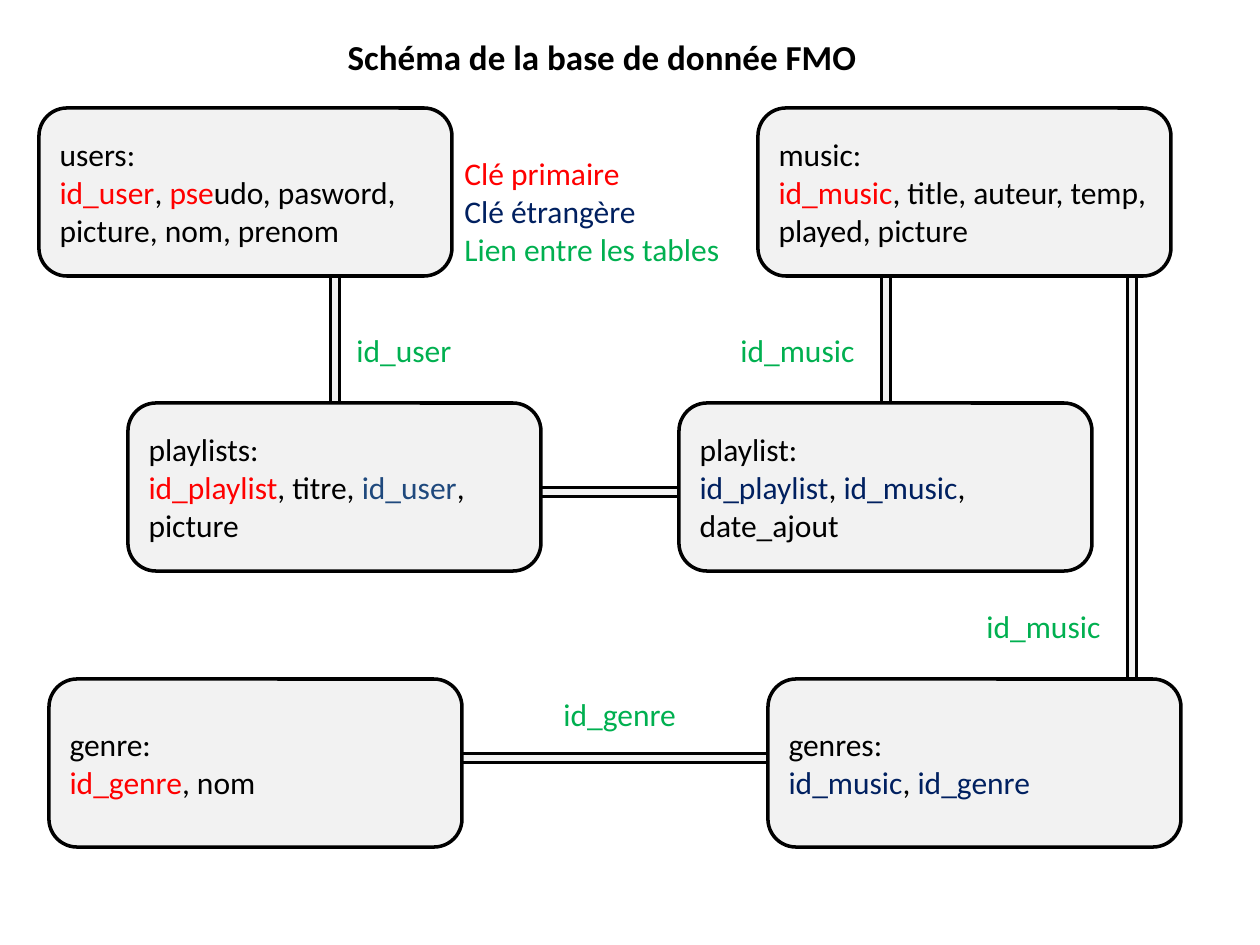
from pptx import Presentation
from pptx.dml.color import RGBColor
from pptx.enum.shapes import MSO_SHAPE as Preset
from pptx.enum.text import MSO_ANCHOR as Anchor, MSO_AUTO_SIZE as AutoSize, PP_ALIGN as Align
from pptx.util import Emu, Pt

COLOURS = {
    "text": "000000",
    "outline": "000000",
    "box": "F2F2F2",
    "primary": "FF0000",
    "foreign": "002060",
    "foreign_light": "1F497D",
    "link": "00B050",
}
BOX_SIZE = (413, 168)
LABEL_SIZE = (147, 50)
LINK_THICKNESS = 39


def px(length):
    return Emu(round(length * 914400 / 126))


def colour(role):
    return RGBColor.from_string(COLOURS[role])


class SchemaSlide:
    """Holds the text style and the slide on which the database schema is drawn."""

    def __init__(self, slide):
        self.slide = slide
        self.font = {"name": "Calibri", "size": Pt(18), "bold": False}

    def fill_text(self, frame, paragraphs, frame_format, **font_changes):
        for key, value in {"word_wrap": True, **frame_format}.items():
            setattr(frame, key, value)
        for index, pieces in enumerate(paragraphs):
            paragraph = frame.add_paragraph() if index else frame.paragraphs[0]
            paragraph.alignment = Align.LEFT
            for role, words in pieces:
                run = paragraph.add_run()
                run.text = words
                for key, value in {**self.font, **font_changes}.items():
                    setattr(run.font, key, value)
                run.font.color.rgb = colour(role)

    def title(self, words, left, top, width, height):
        heading = self.slide.shapes.title
        place = {"left": left, "top": top, "width": width, "height": height}
        for key, value in place.items():
            setattr(heading, key, px(value))
        frame_format = {"auto_size": AutoSize.NONE, "vertical_anchor": Anchor.TOP}
        self.fill_text(heading.text_frame, [[("text", words)]], frame_format, size=Pt(20), bold=True)

    def outlined(self, preset, left, top, width, height):
        shape = self.slide.shapes.add_shape(preset, px(left), px(top), px(width), px(height))
        shape.shadow.inherit = False
        shape.fill.solid()
        shape.fill.fore_color.rgb = colour("box")
        shape.line.color.rgb = colour("outline")
        shape.line.width = Pt(2)
        return shape

    def link(self, centre_x, centre_y, length, rotation=0):
        left, top = centre_x - length / 2, centre_y - LINK_THICKNESS / 2
        bar = self.outlined(Preset.MATH_MINUS, left, top, length, LINK_THICKNESS)
        bar.rotation = rotation

    def table_box(self, left, top, name, columns):
        box = self.outlined(Preset.ROUNDED_RECTANGLE, left, top, *BOX_SIZE)
        paragraphs = [[("text", f"{name}:")], columns]
        self.fill_text(box.text_frame, paragraphs, {"vertical_anchor": Anchor.MIDDLE})

    def label(self, left, top, paragraphs, size=LABEL_SIZE):
        box = self.slide.shapes.add_textbox(px(left), px(top), *map(px, size))
        self.fill_text(box.text_frame, paragraphs, {"auto_size": AutoSize.SHAPE_TO_FIT_TEXT})


def main():
    deck = Presentation()
    deck.slide_width, deck.slide_height = px(1260), px(945)
    schema = SchemaSlide(deck.slides.add_slide(deck.slide_layouts[5]))

    schema.title("Schéma de la base de donnée FMO", 335, 29, 561, 55)

    for link in [
        (626, 758, 581),
        (610, 492, 256),
        (1132, 512, 689, 90),
        (886, 355, 256, 90),
        (335, 345, 256, 90),
    ]:
        schema.link(*link)

    for left, top, name, columns in [
        (39, 108, "users", [("primary", "id_user"), ("text", ", "), ("primary", "pse"),
                            ("text", "udo, pasword, picture, nom, prenom")]),
        (758, 108, "music", [("primary", "id_music"),
                             ("text", ", title, auteur, temp, played, picture")]),
        (128, 403, "playlists", [("primary", "id_playlist"), ("text", ", titre, "),
                                 ("foreign_light", "id_user"), ("text", ", picture")]),
        (679, 403, "playlist", [("foreign", "id_playlist"), ("text", ", "),
                                ("foreign", "id_music"), ("text", ", date_ajout")]),
        (768, 679, "genres", [("foreign", "id_music"), ("text", ", "), ("foreign", "id_genre")]),
        (49, 679, "genre", [("primary", "id_genre"), ("text", ", nom")]),
    ]:
        schema.table_box(left, top, name, columns)

    legend = [
        [("primary", "Clé primaire")],
        [("foreign", "Clé étrangère")],
        [("link", "Lien entre les tables")],
    ]
    schema.label(452, 148, legend, size=(325, 127))

    for left, top, key in [
        (344, 325, "id_user"),
        (728, 325, "id_music"),
        (974, 601, "id_music"),
        (551, 689, "id_genre"),
    ]:
        schema.label(left, top, [[("link", key)]])

    deck.save("out.pptx")


if __name__ == "__main__":
    main()
